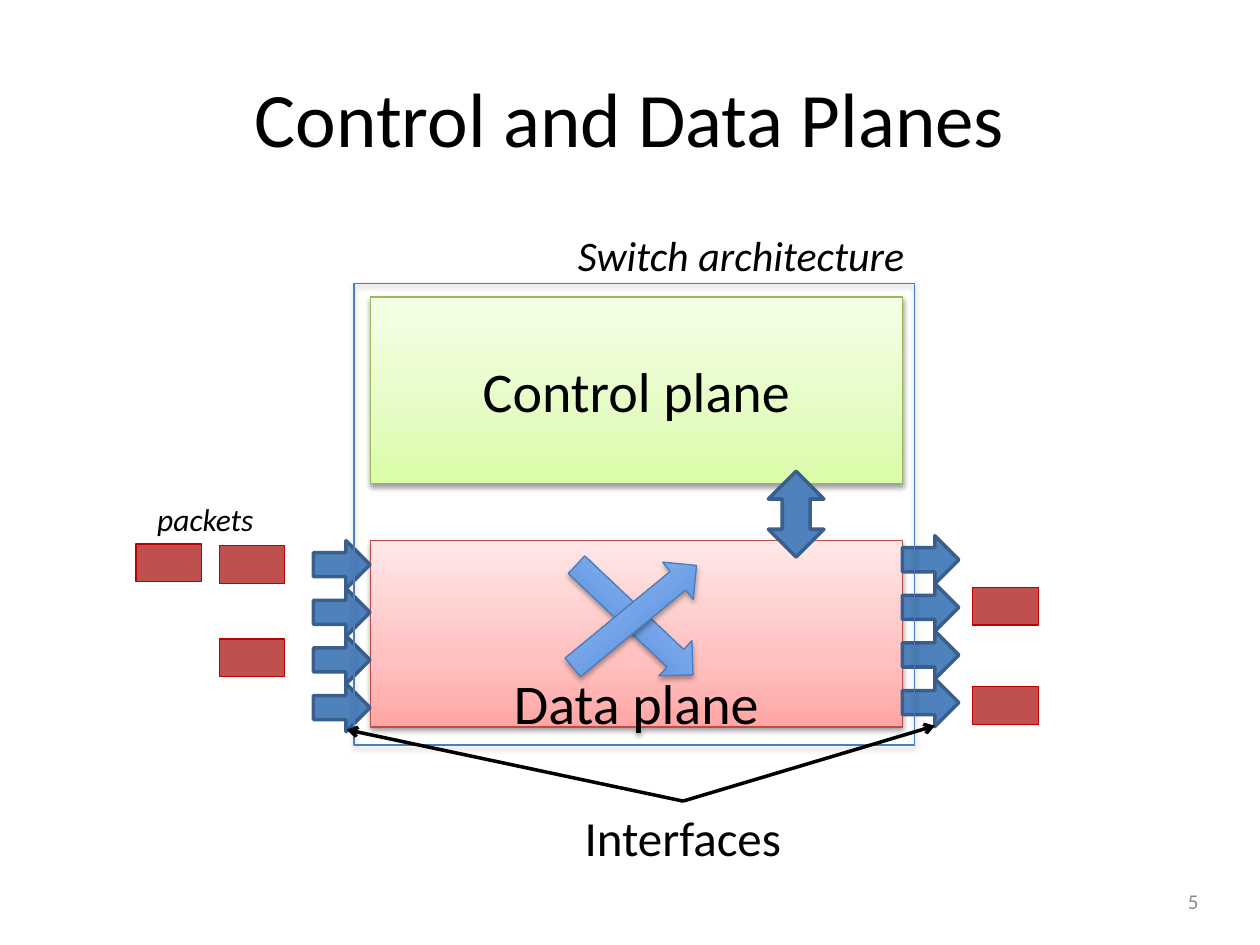
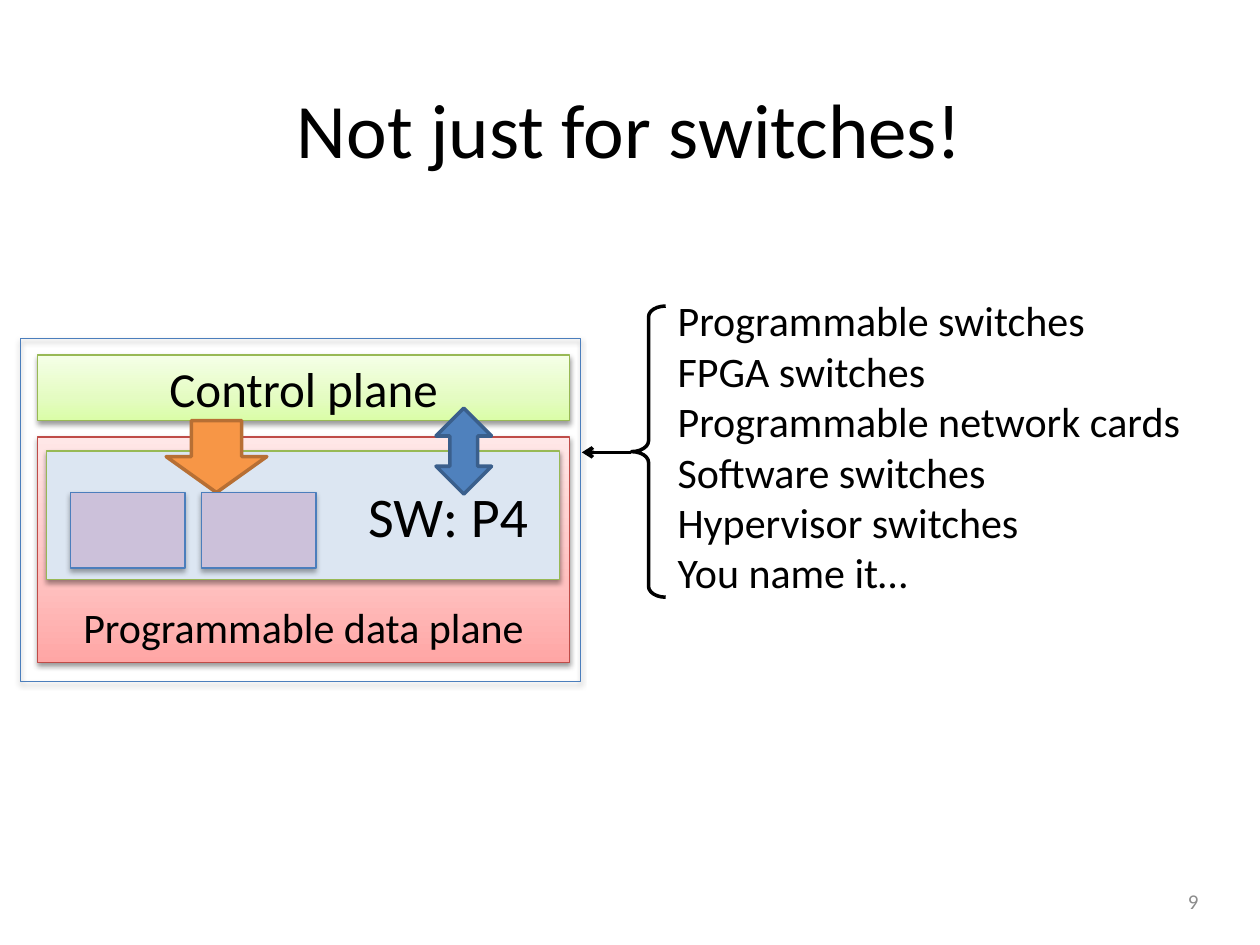
import pptx
import pptx.dml.color
import pptx.enum.dml
import pptx.enum.shapes
import pptx.enum.text
import pptx.oxml
import pptx.oxml.ns
import pptx.util
from lxml import etree

Cm = pptx.util.Cm
Pt = pptx.util.Pt
RGB = pptx.dml.color.RGBColor.from_string
SHAPE = pptx.enum.shapes.MSO_SHAPE
ALIGN = pptx.enum.text.PP_ALIGN
ANCHOR = pptx.enum.text.MSO_ANCHOR
qn = pptx.oxml.ns.qn

FONT = "Calibri"
COLORS = {
    "text": "000000", "number": "8C8C8C",
    "blue": "4F81BD", "blue_edge": "3A5F8C", "frame": "4B7EBC",
    "green_edge": "98B955", "red_edge": "BF4C48",
    "packet": "C0504D", "packet_edge": "C00000",
    "orange": "F79646", "orange_edge": "B76F34",
    "software": "DCE6F2", "lilac": "CCC1DA",
}
# Gradient stops run from the bottom edge to the top edge
GREEN = [(0, "DAFDA7"), (35, "E4FCC2"), (100, "F5FFE7")]
RED = [(0, "FFA6A5"), (35, "FFC0BF"), (100, "FFE7E7")]
BLUE = [(0, "3F80CE"), (100, "A4C4FF")]
# Shadow opacity in percent and distance in points
PLANE_SHADOW = (38, 1.6)
FRAME_SHADOW = (35, 1.8)
PLANE_WIDTH = 10.72


def write(shape, lines, size, align=ALIGN.LEFT, anchor=ANCHOR.TOP,
          color="text", italic=False, wrap=True):
    frame = shape.text_frame
    frame.word_wrap = wrap
    frame.vertical_anchor = anchor
    for index, line in enumerate(lines):
        paragraph = frame.paragraphs[0] if index == 0 else frame.add_paragraph()
        paragraph.alignment = align
        run = paragraph.add_run()
        run.text = line
        run.font.name = FONT
        run.font.size = Pt(size)
        run.font.italic = italic
        run.font.color.rgb = RGB(COLORS[color])


def draw(slide, kind, box, fill, edge, width=0.75, shadow=None):
    shape = slide.shapes.add_shape(kind, *map(Cm, box))
    properties = shape._element.spPr
    if fill is None:
        shape.fill.background()
    elif isinstance(fill, list):
        shape.fill.gradient()
        shape.fill.gradient_angle = 90
        stops = properties.find(".//" + qn("a:gsLst"))
        for stop in list(stops):
            stops.remove(stop)
        for position, color in fill:
            stop = etree.SubElement(stops, qn("a:gs"), pos=str(position * 1000))
            etree.SubElement(stop, qn("a:srgbClr"), val=color)
    else:
        shape.fill.solid()
        shape.fill.fore_color.rgb = RGB(COLORS[fill])
    shape.line.color.rgb = RGB(COLORS[edge])
    shape.line.width = Pt(width)
    shape.shadow.inherit = False
    if shadow:
        opacity, distance = shadow
        outer = etree.SubElement(
            properties.find(qn("a:effectLst")), qn("a:outerShdw"),
            blurRad=str(Pt(3.1)), dist=str(Pt(distance)), dir="5400000",
            rotWithShape="0")
        black = etree.SubElement(outer, qn("a:srgbClr"), val="000000")
        etree.SubElement(black, qn("a:alpha"), val=str(opacity * 1000))
    return shape


deck = pptx.Presentation()
deck.slide_width = Cm(25.4)
deck.slide_height = Cm(19.05)

# Titles and slide numbers
slides = []
for title, title_height, number in [("Control and Data Planes", 3.18, "5"),
                                    ("Not just for switches!", 3.63, "9")]:
    slide = deck.slides.add_slide(deck.slide_layouts[6])
    slides.append(slide)
    heading = slide.shapes.add_textbox(Cm(1.27), Cm(0.76), Cm(22.86), Cm(title_height))
    write(heading, [title], 44, ALIGN.CENTER, ANCHOR.MIDDLE)
    page = slide.shapes.add_textbox(Cm(21.77), Cm(17.65), Cm(2.64), Cm(1.02))
    write(page, [number], 12, ALIGN.RIGHT, ANCHOR.MIDDLE, "number")
planes, targets = slides

# Slide 1: the two planes
control = draw(planes, SHAPE.RECTANGLE, (7.47, 5.99, PLANE_WIDTH, 3.76),
               GREEN, "green_edge", shadow=PLANE_SHADOW)
write(control, ["Control plane"], 32, ALIGN.CENTER, ANCHOR.MIDDLE)
data = draw(planes, SHAPE.RECTANGLE, (7.47, 10.9, PLANE_WIDTH, 3.76),
            RED, "red_edge", shadow=PLANE_SHADOW)
write(data, ["Data plane"], 32, ALIGN.CENTER, ANCHOR.MIDDLE)
data.text_frame.margin_top = Cm(2.75)
data.text_frame.margin_bottom = 0

# Input and output interfaces
for left, top in [(6.32, 10.9), (18.19, 10.8)]:
    for row in range(4):
        draw(planes, SHAPE.RIGHT_ARROW, (left, top + 0.96 * row, 1.14, 0.97),
             "blue", "blue_edge", 2)

# Switch outline and control-data exchange
draw(planes, SHAPE.RECTANGLE, (7.14, 5.72, 11.3, 9.3), None, "frame",
     shadow=FRAME_SHADOW)
draw(planes, SHAPE.UP_DOWN_ARROW, (15.49, 9.5, 1.12, 1.73), "blue", "blue_edge", 2)

# Packets
for left, top in [(4.42, 11), (4.42, 12.88), (2.74, 10.97),
                  (19.61, 11.84), (19.61, 13.84)]:
    draw(planes, SHAPE.RECTANGLE, (left, top, 1.32, 0.76), "packet", "packet_edge")

# Crossing paths through the data plane
for top, angle in [(12.01, 43.4), (11.94, 320.5)]:
    path_arrow = draw(planes, SHAPE.RIGHT_ARROW, (11.18, top, 3.23, 0.97),
                      BLUE, "frame", shadow=FRAME_SHADOW)
    path_arrow.rotation = angle

# Labels
interfaces = planes.shapes.add_textbox(Cm(9.09), Cm(16.15), Cm(9.35), Cm(1.45))
write(interfaces, ["Interfaces"], 28, ALIGN.CENTER)
for label, box, size in [("Switch architecture", (11.4, 4.5, 7.19, 1.27), 24),
                         ("packets", (2.92, 9.96, 2.49, 1.02), 18)]:
    caption = planes.shapes.add_textbox(*map(Cm, box))
    write(caption, [label], size, italic=True, wrap=False)

# Slide 2: list of targets and its brace
target_list = targets.shapes.add_textbox(Cm(13.41), Cm(5.82), Cm(11.25), Cm(6.4))
write(target_list, ["Programmable switches", "FPGA switches",
                    "Programmable network cards", "Software switches",
                    "Hypervisor switches", "You name it…"], 24)
brace = draw(targets, SHAPE.LEFT_BRACE, (12.73, 6.17, 0.69, 5.87), None, "text", 2)
brace.adjustments[0] = 0.315

# Programmable data plane, its software and the control plane
programmable = draw(targets, SHAPE.RECTANGLE, (0.76, 8.81, PLANE_WIDTH, 4.55),
                    RED, "red_edge", shadow=PLANE_SHADOW)
write(programmable, ["Programmable data plane"], 24, ALIGN.CENTER, ANCHOR.MIDDLE)
programmable.text_frame.margin_top = Cm(3.1)
programmable.text_frame.margin_bottom = 0
software = draw(targets, SHAPE.RECTANGLE, (0.94, 9.09, 10.34, 2.59),
                "software", "green_edge", shadow=PLANE_SHADOW)
write(software, ["SW: P4"], 32, ALIGN.CENTER, ANCHOR.MIDDLE)
software.text_frame.margin_left = Cm(6.1)
control_bar = draw(targets, SHAPE.RECTANGLE, (0.76, 7.16, PLANE_WIDTH, 1.32),
                   GREEN, "green_edge", shadow=PLANE_SHADOW)
write(control_bar, ["Control plane"], 28, ALIGN.CENTER, ANCHOR.MIDDLE)

# Device outline, exchange arrows and program blocks
draw(targets, SHAPE.DOWN_ARROW, (3.35, 8.48, 2.03, 1.45), "orange", "orange_edge", 2)
draw(targets, SHAPE.RECTANGLE, (0.41, 6.83, 11.3, 6.91), None, "frame",
     shadow=FRAME_SHADOW)
draw(targets, SHAPE.UP_DOWN_ARROW, (8.79, 8.23, 1.12, 1.73), "blue", "blue_edge", 2)
for left in (1.42, 4.06):
    draw(targets, SHAPE.RECTANGLE, (left, 9.93, 2.31, 1.52), "lilac", "frame",
         shadow=FRAME_SHADOW)

# Pointers on both slides
for slide, ends in [(planes, (13.77, 16.15, 6.99, 14.71)),
                    (planes, (13.77, 16.15, 18.85, 14.63)),
                    (targets, (12.73, 9.12, 11.73, 9.12))]:
    pointer = slide.shapes.add_connector(
        pptx.enum.shapes.MSO_CONNECTOR.STRAIGHT, *map(Cm, ends))
    pointer.line.color.rgb = RGB(COLORS["text"])
    pointer.line.width = Pt(2)
    etree.SubElement(pointer.line._get_or_add_ln(), qn("a:tailEnd"), type="arrow")
    etree.SubElement(pointer._element.spPr, qn("a:effectLst"))

deck.save("out.pptx")
